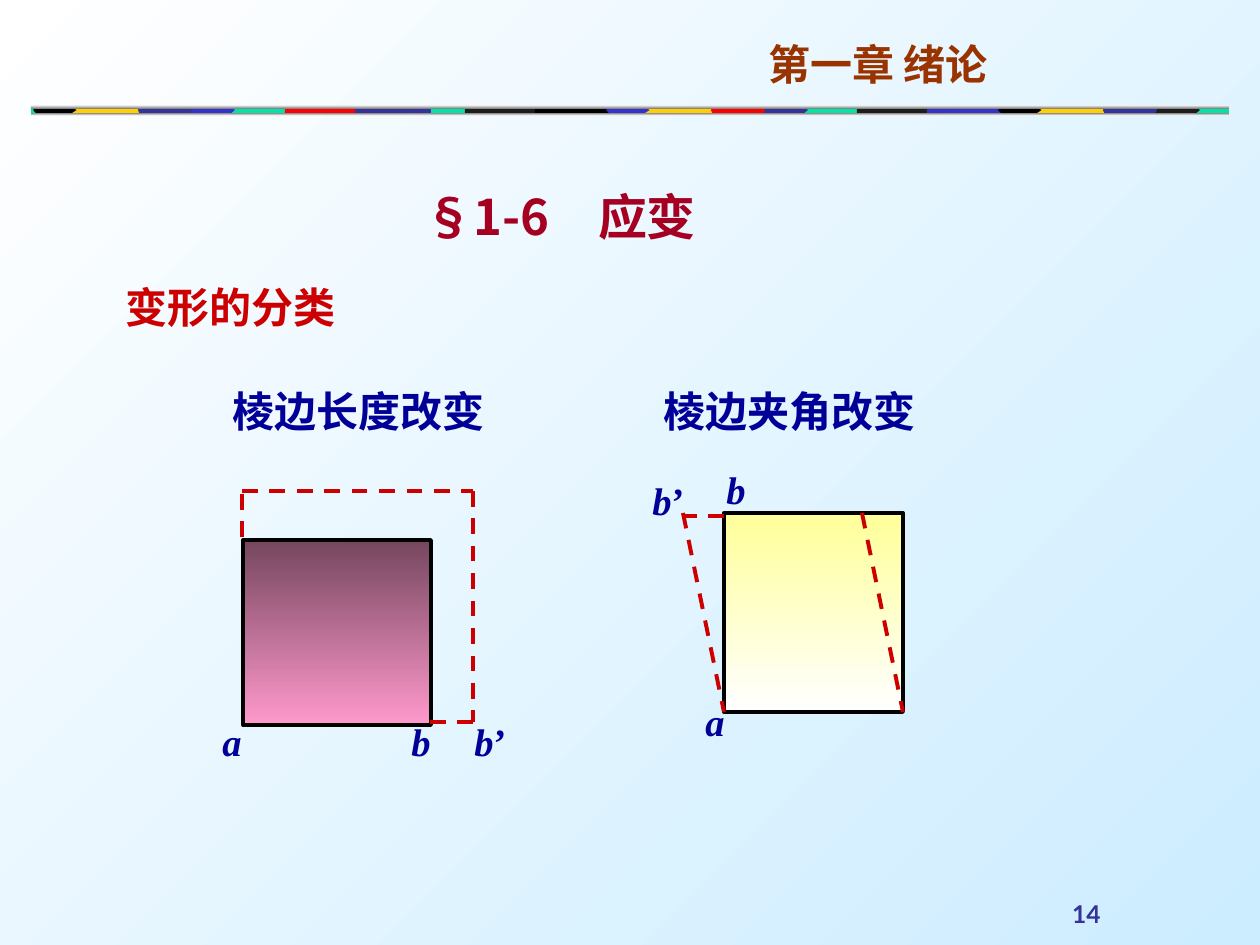
"""Build the slide on strain: the two kinds of deformation of a square element."""
import pptx
import pptx.dml.color
import pptx.enum.dml
import pptx.enum.shapes
import pptx.enum.text
import pptx.oxml.ns
import pptx.util
import lxml.etree

RGBColor = pptx.dml.color.RGBColor
BLACK = RGBColor(0, 0, 0)
CHARCOAL = RGBColor(0x1C, 0x1C, 0x1C)
GRAY = RGBColor(0x76, 0x76, 0x76)
WHITE = RGBColor(0xFF, 0xFF, 0xFF)
SKY = RGBColor(0xCC, 0xEC, 0xFF)
GREEN = RGBColor(0x00, 0xE4, 0xA8)
GOLD = RGBColor(0xFF, 0xCF, 0x01)
RED = RGBColor(0xFF, 0, 0)
BLUE = RGBColor(0x33, 0x33, 0xCC)
INDIGO = RGBColor(0x33, 0x33, 0x99)
NAVY = RGBColor(0, 0, 0x99)
BROWN = RGBColor(0x99, 0x33, 0)
CRIMSON = RGBColor(0xA5, 0, 0x21)
DARK_RED = RGBColor(0xCC, 0, 0)
PLUM = RGBColor(0x75, 0x46, 0x5E)
PINK = RGBColor(0xFF, 0x99, 0xCC)
YELLOW = RGBColor(0xFF, 0xFF, 0x99)

PX = 914400 / 126
CJK = "Noto Sans CJK SC"
SERIF = "Times New Roman"
ALIGN = pptx.enum.text.PP_ALIGN
ANCHOR = pptx.enum.text.MSO_ANCHOR
RECTANGLE = pptx.enum.shapes.MSO_SHAPE.RECTANGLE
STRAIGHT = pptx.enum.shapes.MSO_CONNECTOR.STRAIGHT

presentation = pptx.Presentation()
presentation.slide_width = round(1260 * PX)
presentation.slide_height = round(945 * PX)
slide = presentation.slides.add_slide(presentation.slide_layouts[6])


def set_gradient(fill, start, end, angle=270):
    fill.gradient()
    fill.gradient_angle = angle
    for stop, color in zip(fill.gradient_stops, (start, end)):
        stop.color.rgb = color


def add_text(text, box, size=24, color=NAVY, font=CJK, italic=False, suffix="",
             align=ALIGN.LEFT, anchor=ANCHOR.TOP):
    shape = slide.shapes.add_textbox(*[round(value * PX) for value in box])
    frame = shape.text_frame
    frame.word_wrap = True
    frame.vertical_anchor = anchor
    paragraph = frame.paragraphs[0]
    paragraph.alignment = align
    for part, slanted in ((text, italic), (suffix, False)):
        if part:
            run = paragraph.add_run()
            run.text = part
            run.font.name = font
            run.font.size = pptx.util.Pt(size)
            run.font.bold = True
            run.font.italic = slanted
            run.font.color.rgb = color
            east_asian = lxml.etree.SubElement(run.font._element, pptx.oxml.ns.qn("a:ea"))
            east_asian.set("typeface", CJK)


set_gradient(slide.background.fill, SKY, WHITE, angle=135)

BAND_LEFT, BAND_WIDTH, BAND_TOP, BAND_MIDDLE, BAND_BOTTOM = 31, 1198, 106, 110, 115
base = slide.shapes.add_shape(RECTANGLE, *[
    round(value * PX) for value in (BAND_LEFT, BAND_TOP, BAND_WIDTH, BAND_BOTTOM - BAND_TOP)])
base.shadow.inherit = False
base.fill.solid()
base.fill.fore_color.rgb = GREEN
base.line.fill.background()

piece_edges = [
    (0, 0, 75, 75), (70, 70, 146, 146), (146, 141, 199, 197),
    (177, 185, 252, 252), (248, 246, 297, 300), (298, 294, 337, 343),
]
band_groups = [
    (857, (CHARCOAL, BLUE, BLACK, GOLD, INDIGO, CHARCOAL)),
    (465, (CHARCOAL, BLACK, BLUE, GOLD, RED, INDIGO)),
    (285, (RED, INDIGO, None, None, None, None)),
    (-108, (None, None, BLACK, GOLD, INDIGO, BLUE)),
]
for origin, colors in band_groups:
    for index in (0, 1, 5, 2, 3, 4):
        if colors[index] is None:
            continue
        left, left_middle, right, right_middle = [origin + edge for edge in piece_edges[index]]
        builder = slide.shapes.build_freeform(left, BAND_TOP, scale=PX)
        builder.add_line_segments([
            (right, BAND_TOP), (right_middle, BAND_MIDDLE), (right, BAND_BOTTOM),
            (left, BAND_BOTTOM), (left_middle, BAND_MIDDLE)])
        piece = builder.convert_to_shape()
        piece.shadow.inherit = False
        piece.fill.solid()
        piece.fill.fore_color.rgb = colors[index]
        piece.line.fill.background()

gradient_boxes = [
    ((BAND_LEFT, 105, BAND_WIDTH, 4), WHITE, GRAY, False),
    ((BAND_LEFT, 113, BAND_WIDTH, 3), GRAY, WHITE, False),
    ((243, 540, 188, 185), PLUM, PINK, True),
    ((724, 513, 179, 199), YELLOW, WHITE, True),
]
for box, start, end, outlined in gradient_boxes:
    shape = slide.shapes.add_shape(RECTANGLE, *[round(value * PX) for value in box])
    shape.shadow.inherit = False
    set_gradient(shape.fill, start, end)
    if outlined:
        shape.line.color.rgb = BLACK
        shape.line.width = pptx.util.Pt(2.25)
    else:
        shape.line.fill.background()

deformed_edges = [
    (242, 537, 242, 491), (242, 491, 473, 491), (473, 491, 473, 722), (430, 722, 473, 722),
    (724, 516, 683, 516), (683, 513, 724, 712), (862, 513, 903, 712),
]
for edge in deformed_edges:
    connector = slide.shapes.add_connector(STRAIGHT, *[round(value * PX) for value in edge])
    connector.line.color.rgb = DARK_RED
    connector.line.width = pptx.util.Pt(2.25)
    connector.line.dash_style = pptx.enum.dml.MSO_LINE.DASH
    lxml.etree.SubElement(connector._element.spPr, pptx.oxml.ns.qn("a:effectLst"))

add_text("第一章 绪论", (756, 32, 410, 63), color=BROWN)
add_text("§1-6　应变", (412, 180, 417, 72), size=28, color=CRIMSON)
add_text("变形的分类", (113, 275, 307, 63), color=DARK_RED, font="Lato", align=ALIGN.JUSTIFY)
add_text("棱边长度改变", (220, 379, 284, 63))
add_text("棱边夹角改变", (651, 379, 284, 63))

vertex_labels = [
    ("a", "", 210, 712, 42), ("b", "", 399, 712, 53), ("b", "’", 462, 712, 73),
    ("a", "", 693, 692, 42), ("b", "", 714, 460, 53), ("b", "’", 640, 471, 73),
]
for letter, prime, left, top, width in vertex_labels:
    add_text(letter, (left, top, width, 59), size=22, font=SERIF, italic=True, suffix=prime)

add_text("14", (851, 872, 262, 63), size=14, color=INDIGO, font="Lato",
         align=ALIGN.RIGHT, anchor=ANCHOR.BOTTOM)

presentation.save("out.pptx")
